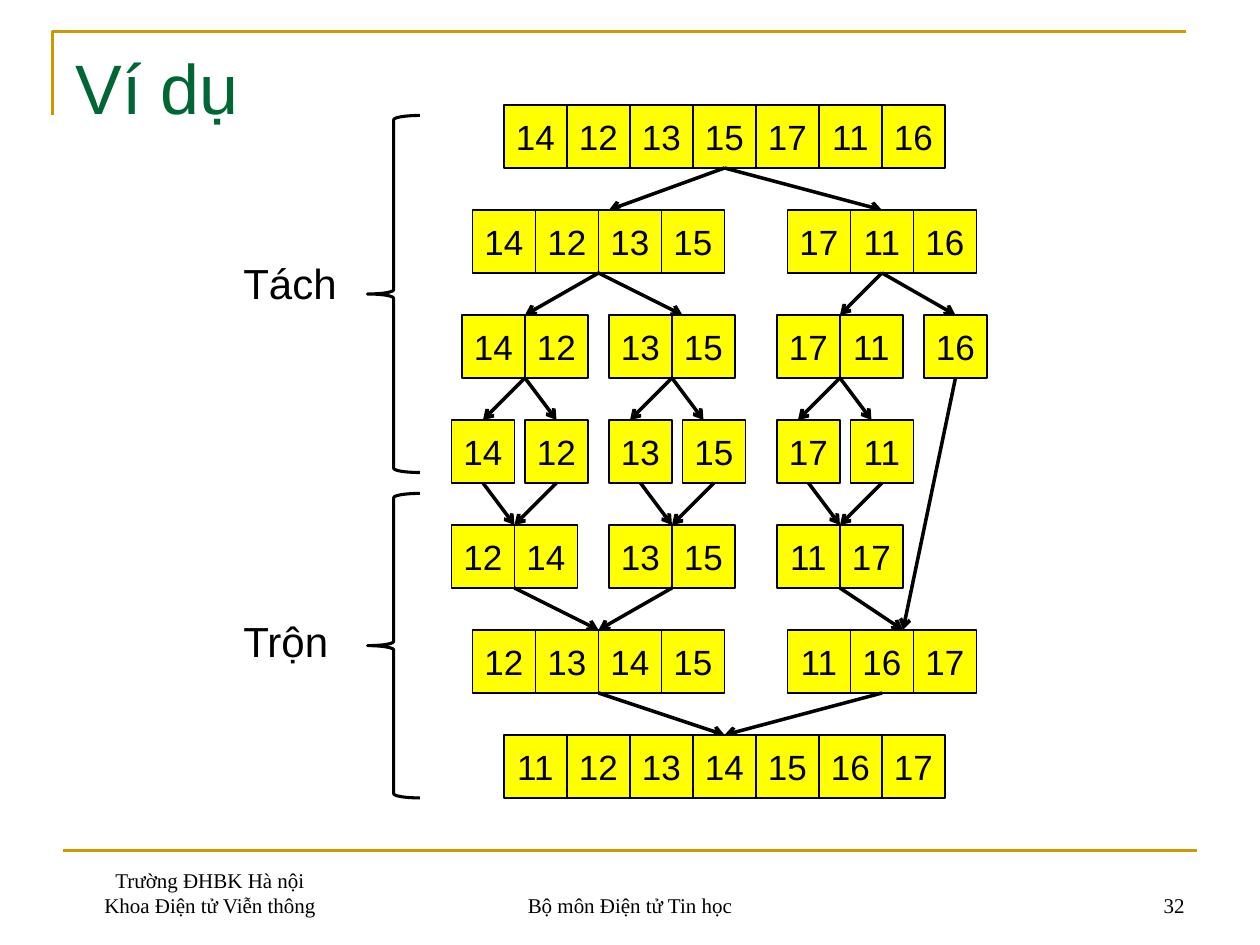
from pptx import Presentation
from pptx.dml.color import RGBColor
from pptx.enum.shapes import MSO_CONNECTOR, MSO_SHAPE
from pptx.enum.text import MSO_ANCHOR, PP_ALIGN
from pptx.oxml.ns import qn
from pptx.util import Inches, Pt
from lxml.etree import SubElement

BLACK, YELLOW, GOLD, GREEN = "000000", "FFFF00", "CC9900", "006633"
CELL = 6          # cell side in grid units
LEVEL_STEP = 10   # grid units from one level to the next

# Each level holds runs of cells: first column, numbers, columns its arrows reach.
LEVELS = [
    [(48, "14 12 13 15 17 11 16", [58, 84])],
    [(45, "14 12 13 15", [50, 65]), (75, "17 11 16", [80, 91])],
    [(44, "14 12", [46, 53]), (58, "13 15", [60, 67]),
     (74, "17 11", [76, 83]), (88, "16", [])],
    [(43, "14", [49]), (50, "12", [49]), (58, "13", [64]),
     (65, "15", [64]), (74, "17", [80]), (81, "11", [80])],
    [(43, "12 14", [57]), (58, "13 15", [57]), (74, "11 17", [86])],
    [(45, "12 13 14 15", [69]), (75, "11 16 17", [69])],
    [(48, "11 12 13 14 15 16 17", [])],
]


def grid(units):
    """Length of grid units, twelve to the inch."""
    return Inches(units / 12)


def level_top(level):
    return LEVEL_STEP * (level + 1)


def colour(hex_code):
    return RGBColor.from_string(hex_code)


def write(frame, lines, size, font="Arial", hex_code=BLACK, align=None):
    for number, line in enumerate(lines):
        para = frame.paragraphs[0] if number == 0 else frame.add_paragraph()
        para.alignment = align
        span = para.add_run()
        span.text = line
        span.font.size = Pt(size)
        span.font.name = font
        span.font.color.rgb = colour(hex_code)


def style_line(shape, hex_code, width):
    shape.line.color.rgb = colour(hex_code)
    shape.line.width = Pt(width)


def add_title(page, text):
    title = page.shapes.title
    title.left, title.top, title.width, title.height = map(grid, (6, 3.6, 108, 15))
    title.text_frame.vertical_anchor = MSO_ANCHOR.TOP
    write(title.text_frame, [text], 40, hex_code=GREEN, align=PP_ALIGN.LEFT)


def add_text(page, place, lines, size, anchor=MSO_ANCHOR.TOP, **style):
    box = page.shapes.add_textbox(*map(grid, place))
    box.text_frame.word_wrap = True
    box.text_frame.vertical_anchor = anchor
    write(box.text_frame, lines, size, **style)


def add_cell(page, column, row, number):
    cell = page.shapes.add_shape(
        MSO_SHAPE.RECTANGLE, *map(grid, (column, row, CELL, CELL)))
    cell.shadow.inherit = False
    cell.fill.solid()
    cell.fill.fore_color.rgb = colour(YELLOW)
    style_line(cell, BLACK, 0.75)
    cell.text_frame.word_wrap = False
    cell.text_frame.vertical_anchor = MSO_ANCHOR.MIDDLE
    write(cell.text_frame, [number], 20, align=PP_ALIGN.CENTER)


def add_line(page, start, end, hex_code, width):
    line = page.shapes.add_connector(
        MSO_CONNECTOR.STRAIGHT, *map(grid, (*start, *end)))
    style_line(line, hex_code, width)
    SubElement(line._element.spPr, qn("a:effectLst"))
    return line


def add_arrow(page, start, end):
    arrow = add_line(page, start, end, BLACK, 2)
    SubElement(arrow.line._get_or_add_ln(), qn("a:tailEnd"), type="arrow")


def add_brace(page, top, height):
    brace = page.shapes.add_shape(
        MSO_SHAPE.LEFT_BRACE, *map(grid, (35, top, 5, height)))
    brace.shadow.inherit = False
    brace.adjustments[0] = 0.08
    brace.fill.background()
    style_line(brace, BLACK, 1.75)


def add_corner(page):
    """Open gold rule above and to the left of the title."""
    builder = page.shapes.build_freeform(grid(5), grid(11))
    builder.add_line_segments(
        [(grid(5), grid(3)), (grid(113), grid(3))], close=False)
    corner = builder.convert_to_shape()
    corner.shadow.inherit = False
    corner.fill.background()
    style_line(corner, GOLD, 1.5)


def add_footer(page):
    footers = [
        (6, 28, ["Trường ĐHBK Hà nội", "Khoa Điện tử Viễn thông"], PP_ALIGN.CENTER),
        (41, 38, ["Bộ môn Điện tử Tin học"], PP_ALIGN.CENTER),
        (86, 28, ["32"], PP_ALIGN.RIGHT),
    ]
    for column, width, lines, align in footers:
        add_text(page, (column, 82, width, 6), lines, 12, MSO_ANCHOR.BOTTOM,
                 font="Times New Roman", align=align)


def add_merge_sort(page):
    for level, runs in enumerate(LEVELS):
        top = level_top(level)
        for column, text, targets in runs:
            numbers = text.split()
            for index, number in enumerate(numbers):
                add_cell(page, column + index * CELL, top, number)
            centre = column + len(numbers) * CELL / 2
            for target in targets:
                add_arrow(page, (centre, top + CELL), (target, level_top(level + 1)))
    # The lone 16 skips straight to its merge.
    add_arrow(page, (91, level_top(2) + CELL), (86, level_top(5)))


def main():
    deck = Presentation()
    deck.slide_width, deck.slide_height = Inches(10), Inches(7.5)
    page = deck.slides.add_slide(deck.slide_layouts[5])
    add_corner(page)
    add_line(page, (6, 81), (114, 81), GOLD, 1.5)
    add_title(page, "Ví dụ")
    add_footer(page)
    add_merge_sort(page)
    for label, label_top, top, height in [("Tách", 23.9, 11, 34), ("Trộn", 58, 47, 29)]:
        add_brace(page, top, height)
        add_text(page, (22, label_top, 13, 6), [label], 24)
    deck.save("out.pptx")


if __name__ == "__main__":
    main()
